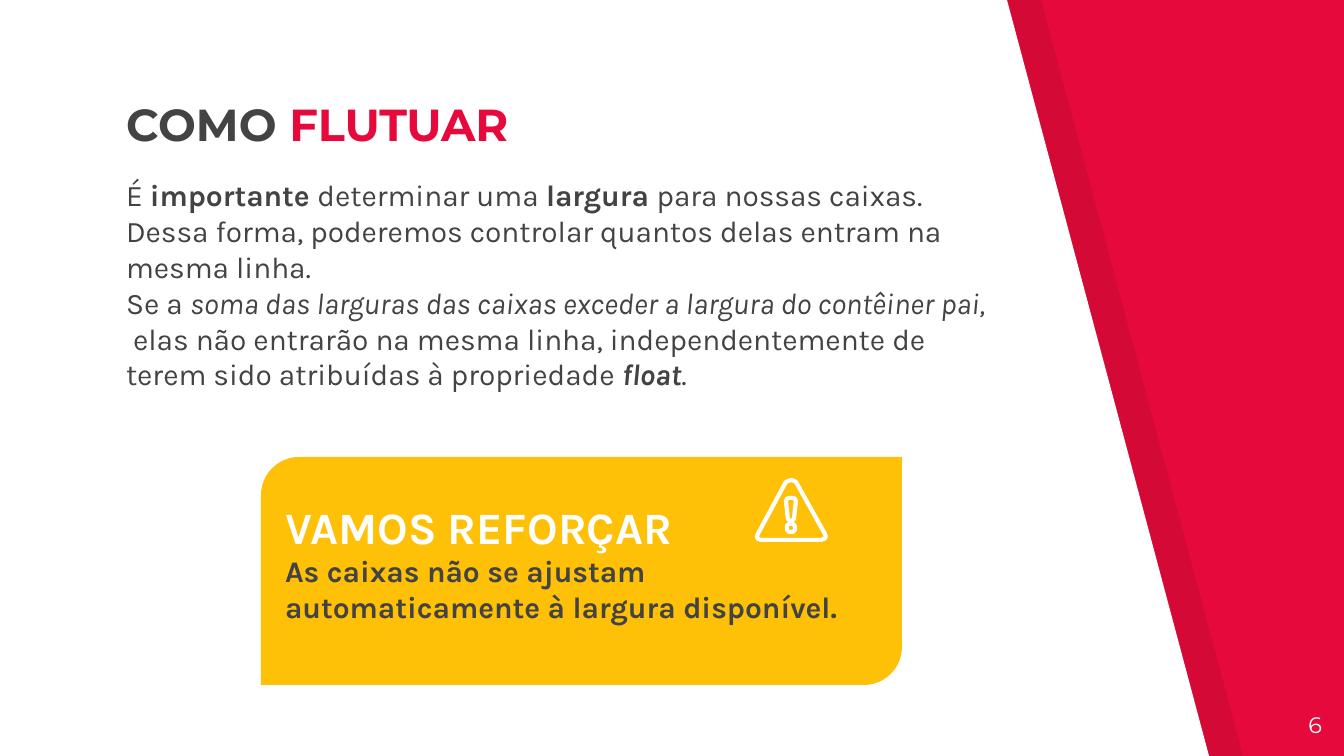
from math import cos, pi, sin

from lxml import etree
from pptx import Presentation
from pptx.dml.color import RGBColor
from pptx.enum.shapes import MSO_SHAPE
from pptx.enum.text import MSO_ANCHOR, MSO_AUTO_SIZE, PP_ALIGN
from pptx.oxml.ns import qn
from pptx.util import Pt

TOP, MIDDLE, BOTTOM = MSO_ANCHOR.TOP, MSO_ANCHOR.MIDDLE, MSO_ANCHOR.BOTTOM
LEFT, RIGHT = PP_ALIGN.LEFT, PP_ALIGN.RIGHT
FIXED = MSO_AUTO_SIZE.NONE
CARD = MSO_SHAPE.ROUND_2_DIAG_RECTANGLE

RED = RGBColor(0xE5, 0x0A, 0x3B)
GRAY = RGBColor(0x43, 0x43, 0x43)
AMBER = RGBColor(0xFF, 0xC1, 0x07)
WHITE = RGBColor(0xFF, 0xFF, 0xFF)
BLACK = RGBColor(0, 0, 0)

SCALE = 914400 / 134.4
WIDE, HIGH = 1344, 756
PAD = 13

HEAD = [[("COMO ", GRAY, "b"), ("FLUTUAR", RED, "b")]]
BODY = [[
    ("É ", GRAY, ""),
    ("importante ", GRAY, "b"),
    ("determinar uma ", GRAY, ""),
    ("largura ", GRAY, "b"),
    ("para nossas caixas. Dessa forma, poderemos controlar quantos delas "
     "entram na mesma linha. ", GRAY, ""),
    None,
    ("Se a ", GRAY, ""),
    ("soma das larguras das caixas exceder a largura do contêiner pai, ",
     GRAY, "i"),
    (" elas não entrarão na mesma linha, independentemente de terem sido "
     "atribuídas à propriedade ", GRAY, ""),
    ("float", GRAY, "bi"),
    (".", GRAY, ""),
]]
NOTE = [
    [("VAMOS REFORÇAR", WHITE, "b")],
    [("As caixas não se ajustam automaticamente à largura disponível.",
      GRAY, "b")],
]
PAGE = [[("6", WHITE, "")]]

PANEL = [(0, 0), (0, HIGH), (1209, HIGH), (1007, 0)]
PANELS = [(0, WHITE, None), (34, BLACK, 7)]

SIGN = [(825, 534), (796, 482), (794, 481), (791, 480), (789, 481),
        (786, 482), (758, 534), (757, 537), (758, 539), (761, 540),
        (821, 540), (824, 539), (826, 537)]
MARK = [(796, 501), (794, 519), (792, 521), (790, 521), (788, 519),
        (786, 501), (787, 499), (789, 498), (793, 498), (795, 499)]
DOT = [(791 + 4 * cos(k * pi / 8), 528 + 4 * sin(k * pi / 8))
       for k in range(16)]


def px(n):
    return round(n * SCALE)


def place(shape, box):
    shape.left, shape.top, shape.width, shape.height = map(px, box)


def write(shape, paras, font, sizes, anchor=TOP, align=LEFT, gap=0, foot=PAD):
    frame = shape.text_frame
    frame.word_wrap = True
    frame.auto_size = FIXED
    frame.vertical_anchor = anchor
    frame.margin_left = frame.margin_right = frame.margin_top = px(PAD)
    frame.margin_bottom = px(foot)
    for i, (runs, size) in enumerate(zip(paras, sizes)):
        para = frame.add_paragraph() if i else frame.paragraphs[0]
        para.alignment = align
        para.space_before = Pt(gap)
        for part in runs:
            if part is None:
                para.add_line_break()
                continue
            text, color, style = part
            run = para.add_run()
            run.text = text
            run.font.name = font
            run.font.size = Pt(size)
            run.font.color.rgb = color
            run.font.bold = "b" in style
            run.font.italic = "i" in style


def trace(shapes, paths):
    first = paths[0]
    pen = shapes.build_freeform(*first[0], scale=SCALE)
    pen.add_line_segments(first[1:], close=True)
    for path in paths[1:]:
        pen.move_to(*path[0])
        pen.add_line_segments(path[1:], close=True)
    shape = pen.convert_to_shape()
    shape.shadow.inherit = False
    return shape


def paint(shape, color):
    shape.fill.solid()
    shape.fill.fore_color.rgb = color
    shape.line.fill.background()


def main():
    deck = Presentation()
    deck.slide_width, deck.slide_height = px(WIDE), px(HIGH)
    slide = deck.slides.add_slide(deck.slide_layouts[1])
    shapes = slide.shapes
    back = slide.background.fill
    back.solid()
    back.fore_color.rgb = RED

    for shift, color, alpha in PANELS:
        panel = trace(shapes, [[(x + shift, y) for x, y in PANEL]])
        paint(panel, color)
        if alpha:
            tint = panel.fill._xPr.find(".//" + qn("a:srgbClr"))
            etree.SubElement(tint, qn("a:alpha"), val=str(alpha * 1000))
        shapes._spTree.insert(2, panel._element)

    title, body = slide.placeholders
    place(title, (113, 103, 706, 60))
    write(title, HEAD, "Montserrat", [24], anchor=BOTTOM)
    place(body, (113, 164, 890, 116))
    write(body, BODY, "Karla", [16], gap=6)
    for para in body.text_frame.paragraphs:
        props = para._p.get_or_add_pPr()
        props.set("marL", "0")
        props.set("indent", "0")
        etree.SubElement(props, qn("a:buNone"))

    page = shapes.add_textbox(*map(px, (1255, 698, 80, 57)))
    write(page, PAGE, "Montserrat", [12], align=RIGHT)

    card = shapes.add_shape(CARD, *map(px, (261, 457, 641, 228)))
    card.shadow.inherit = False
    card.adjustments[0] = 0.167
    card.adjustments[1] = 0
    paint(card, AMBER)
    write(card, NOTE, "Karla", [24, 16], anchor=MIDDLE, foot=PAD + 18)

    icon = trace(shapes, [SIGN, DOT, MARK])
    icon.fill.background()
    icon.line.color.rgb = WHITE
    icon.line.width = Pt(2.25)

    deck.save("out.pptx")


if __name__ == "__main__":
    main()
